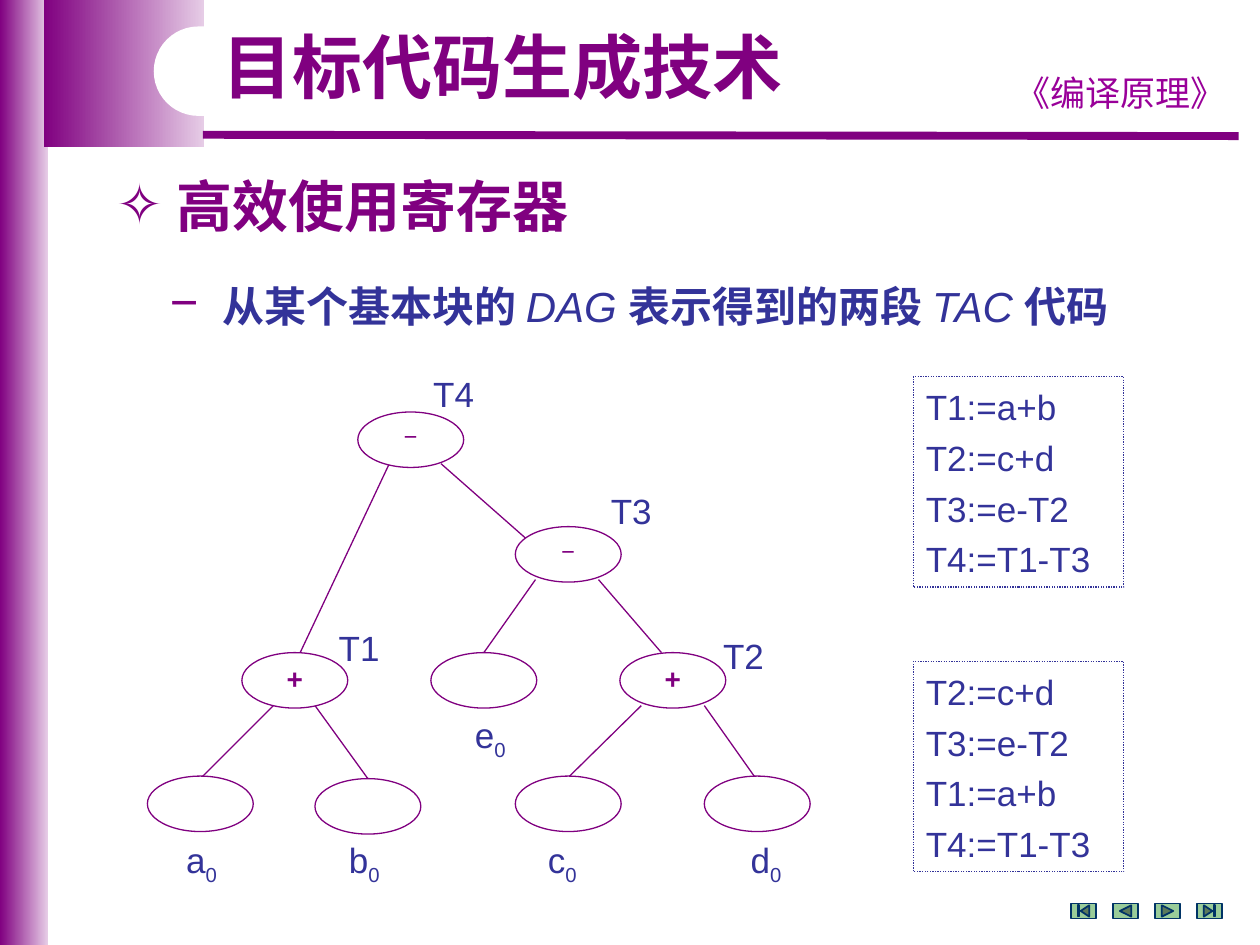
from lxml.etree import SubElement
from pptx import Presentation
from pptx.dml.color import RGBColor
from pptx.enum.dml import MSO_LINE
from pptx.enum.shapes import MSO_CONNECTOR, MSO_SHAPE
from pptx.enum.text import MSO_ANCHOR, MSO_AUTO_SIZE, PP_ALIGN
from pptx.oxml.ns import qn
from pptx.util import Inches, Pt

COLORS = {
    "purple": "800080", "lilac": "E6CCE6", "magenta": "990099", "white": "FFFFFF",
    "indigo": "333399", "green": "99CC99", "navy": "003366",
}
TITLE = "目标代码生成技术"
COURSE = "《编译原理》"
HEADING = " 高效使用寄存器"
INTRO = [
    ("从某个基本块的 ", False), ("DAG ", True), ("表示得到的两段 ", False),
    ("TAC ", True), ("代码", False),
]
BANDS = [(0, 0, 0.38, 7.5), (0.35, 0, 1.27, 1.17)]
NODE_SIZE = (0.84, 0.44)
NODES = [
    (2.84, 3.27, "−"), (4.09, 4.18, "−"), (1.92, 5.18, "+"), (3.42, 5.18, ""),
    (4.92, 5.18, "+"), (1.17, 6.16, ""), (2.5, 6.18, ""), (4.09, 6.16, ""),
    (5.59, 6.16, ""),
]
OPERATOR_FONTS = {"−": ("Times New Roman", 14), "+": ("Arial", 16)}
EDGES = [
    (3.09, 3.68, 2.34, 5.27), (3.5, 3.68, 4.17, 4.27),
    (4.25, 4.6, 3.84, 5.18), (4.75, 4.6, 5.25, 5.18),
    (2.17, 5.6, 1.59, 6.18), (2.5, 5.6, 2.92, 6.18),
    (5.09, 5.6, 4.5, 6.18), (5.59, 5.6, 6, 6.18),
]
LABELS = [
    (3.34, 3, "T4", ""), (4.75, 3.93, "T3", ""), (2.59, 5.02, "T1", ""),
    (5.64, 5.08, "T2", ""), (3.67, 5.68, "e", "0"), (1.38, 6.67, "a", "0"),
    (2.67, 6.67, "b", "0"), (4.25, 6.67, "c", "0"), (5.86, 6.67, "d", "0"),
]
CODE_BLOCKS = [
    (2.99, ["T1:=a+b", "T2:=c+d", "T3:=e-T2", "T4:=T1-T3"]),
    (5.25, ["T2:=c+d", "T3:=e-T2", "T1:=a+b", "T4:=T1-T3"]),
]
BUTTONS = [
    MSO_SHAPE.ACTION_BUTTON_BEGINNING, MSO_SHAPE.ACTION_BUTTON_BACK_OR_PREVIOUS,
    MSO_SHAPE.ACTION_BUTTON_FORWARD_OR_NEXT, MSO_SHAPE.ACTION_BUTTON_END,
]


def color(name):
    return RGBColor.from_string(COLORS[name])


def set_font(font, size, name, tint, bold=None):
    font.size = Pt(size)
    font.name = name
    font.bold = bold
    font.color.rgb = color(tint)


def set_margins(frame, side, top, bottom):
    frame.margin_left = frame.margin_right = Inches(side)
    frame.margin_top = Inches(top)
    frame.margin_bottom = Inches(bottom)


def add_shape(page, kind, place, fill=None, line=None, width=0.75):
    shape = page.shapes.add_shape(kind, *map(Inches, place))
    shape.shadow.inherit = False
    if fill:
        shape.fill.solid()
        shape.fill.fore_color.rgb = color(fill)
    else:
        shape.fill.background()
    if line:
        shape.line.color.rgb = color(line)
        shape.line.width = Pt(width)
    else:
        shape.line.fill.background()
    return shape


def add_line(page, ends, width):
    line = page.shapes.add_connector(MSO_CONNECTOR.STRAIGHT, *map(Inches, ends))
    line.line.color.rgb = color("purple")
    line.line.width = Pt(width)
    SubElement(line._element.spPr, qn("a:effectLst"))


def add_text(page, place, wrap=True):
    frame = page.shapes.add_textbox(*map(Inches, place)).text_frame
    frame.word_wrap = wrap
    frame.auto_size = MSO_AUTO_SIZE.SHAPE_TO_FIT_TEXT
    return frame, frame.paragraphs[0]


def add_bullet(paragraph, character, hang=0):
    properties = paragraph._p.get_or_add_pPr()
    properties.set("marL", str(Inches(hang)))
    properties.set("indent", str(-Inches(hang)))
    tint = SubElement(properties, qn("a:buClr"))
    SubElement(tint, qn("a:srgbClr")).set("val", COLORS["purple"])
    SubElement(properties, qn("a:buFont")).set("typeface", "Arial")
    SubElement(properties, qn("a:buChar")).set("char", character)


def add_frame(page):
    for place in BANDS:
        band = add_shape(page, MSO_SHAPE.RECTANGLE, place)
        band.fill.gradient()
        band.fill.gradient_angle = 0
        for stop, name in zip(band.fill.gradient_stops, ("purple", "lilac")):
            stop.color.rgb = color(name)
    add_line(page, (1.61, 1.07, 9.83, 1.08), 4.5)
    _, paragraph = add_text(page, (7.91, 0.52, 1.97, 0.43))
    paragraph.text = COURSE
    paragraph.alignment = PP_ALIGN.CENTER
    set_font(paragraph.font, 20, "Comic Neue", "magenta")
    notch = add_shape(page, MSO_SHAPE.ROUNDED_RECTANGLE, (1.22, 0.21, 3.62, 0.71), "white")
    notch.adjustments[0] = 0.5
    for index, kind in enumerate(BUTTONS):
        add_shape(page, kind, (8.5 + index / 3, 7.17, 0.2, 0.12), "green", "navy", 1)


def add_headings(page):
    _, paragraph = add_text(page, (1.67, 0.21, 4.75, 0.7))
    paragraph.text = TITLE
    paragraph.line_spacing = 0.9
    set_font(paragraph.font, 40, "Arial", "purple", True)

    _, paragraph = add_text(page, (0.83, 1.31, 4.09, 0.64))
    paragraph.text = HEADING
    add_bullet(paragraph, "✧")
    set_font(paragraph.font, 32, "Arial", "purple", True)

    _, paragraph = add_text(page, (1.25, 2.12, 7.92, 0.57))
    add_bullet(paragraph, "−", 0.23)
    gap = paragraph.add_run()
    gap.text = " "
    set_font(gap.font, 28, "Arial", "purple", True)
    gap.font._element.set("spc", "700")
    for words, italic in INTRO:
        span = paragraph.add_run()
        span.text = words
        set_font(span.font, 24, "Arial", "indigo", not italic)
        span.font.italic = italic


def add_tree(page):
    for ends in EDGES:
        add_line(page, ends, 0.75)
    for left, top, operator in NODES:
        node = add_shape(page, MSO_SHAPE.OVAL, (left, top, *NODE_SIZE), "white", "purple")
        if operator:
            frame = node.text_frame
            set_margins(frame, 0.06, 0.01, 0.01)
            frame.vertical_anchor = MSO_ANCHOR.TOP
            paragraph = frame.paragraphs[0]
            paragraph.text = operator
            paragraph.alignment = PP_ALIGN.CENTER
            name, size = OPERATOR_FONTS[operator]
            set_font(paragraph.font, size, name, "purple", True)
    for left, top, letter, subscript in LABELS:
        frame, paragraph = add_text(page, (left, top, 0.46 if subscript else 0.53, 0.27), False)
        set_margins(frame, 0.1, 0.02, 0)
        paragraph.line_spacing = 0.8
        set_font(paragraph.font, 20, "Arial", "indigo")
        paragraph.add_run().text = letter
        if subscript:
            span = paragraph.add_run()
            span.text = subscript
            span.font._element.set("baseline", "-25000")


def add_code(page):
    for top, lines in CODE_BLOCKS:
        block = add_shape(page, MSO_SHAPE.RECTANGLE, (7.25, top, 1.67, 1.67), line="indigo")
        block.line.dash_style = MSO_LINE.ROUND_DOT
        frame = block.text_frame
        set_margins(frame, 0.1, 0.07, 0.05)
        frame.vertical_anchor = MSO_ANCHOR.TOP
        for index, words in enumerate(lines):
            paragraph = frame.add_paragraph() if index else frame.paragraphs[0]
            paragraph.text = words
            paragraph.alignment = PP_ALIGN.LEFT
            if index:
                paragraph.space_before = Pt(5)
            set_font(paragraph.font, 20, "Arial", "indigo")


def main():
    deck = Presentation()
    deck.slide_width, deck.slide_height = Inches(10), Inches(7.5)
    page = deck.slides.add_slide(deck.slide_layouts[6])
    add_frame(page)
    add_headings(page)
    add_tree(page)
    add_code(page)
    deck.save("out.pptx")


if __name__ == "__main__":
    main()
